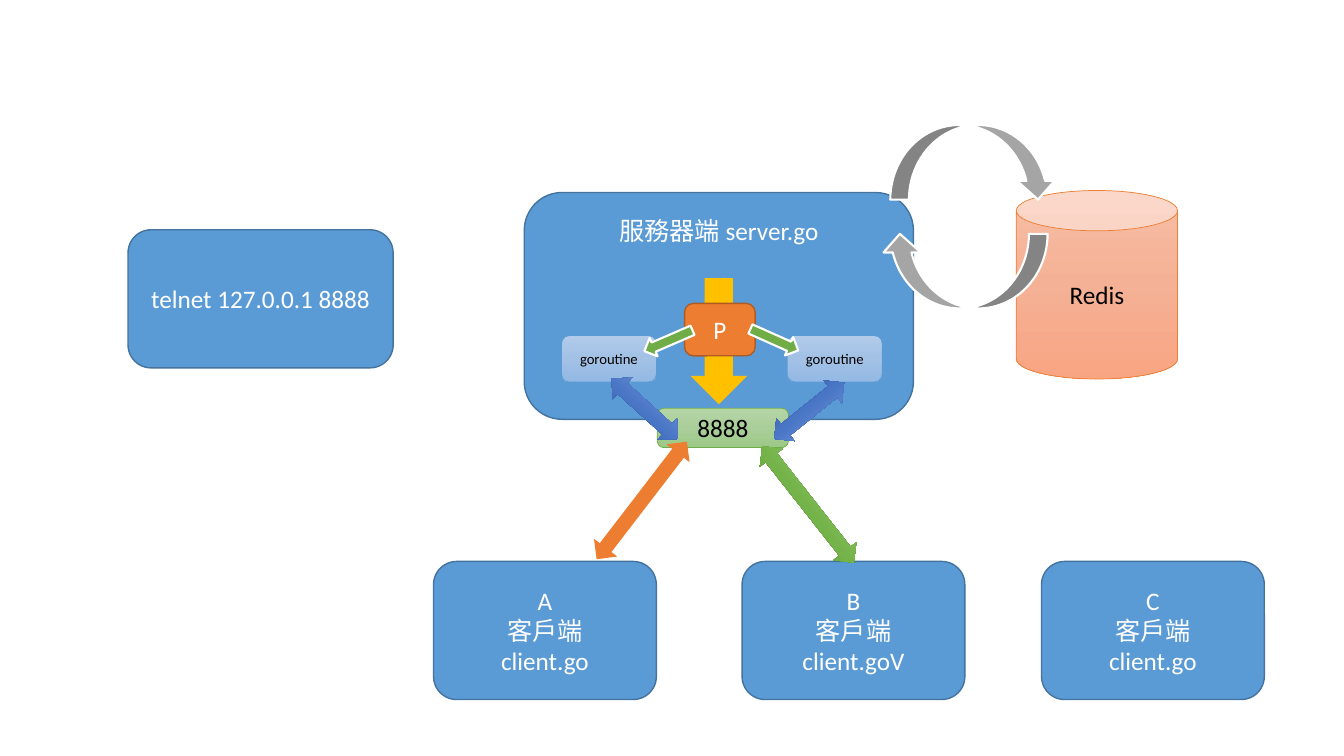
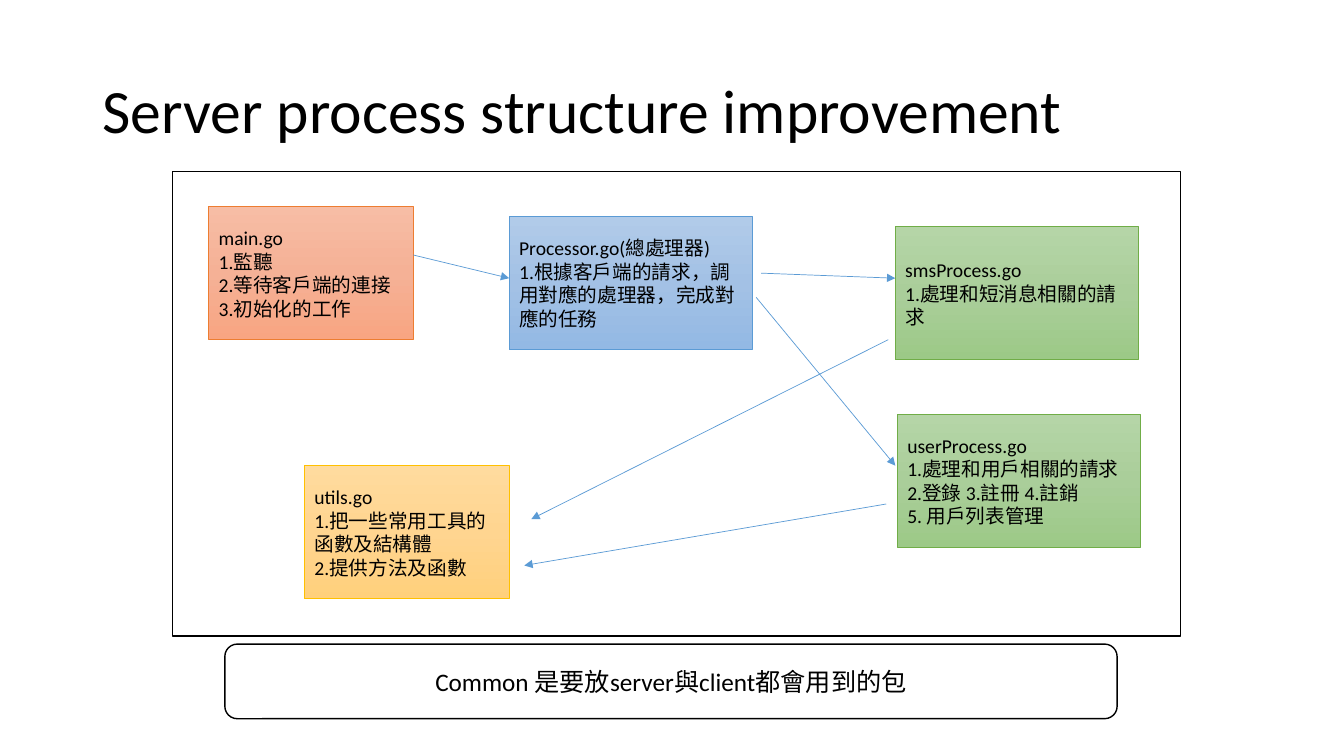
from dataclasses import dataclass
from typing import Optional, Union

import lxml.etree
import pptx
import pptx.dml.color
import pptx.enum.shapes
import pptx.enum.text
import pptx.oxml.ns
import pptx.util

Inches = pptx.util.Inches
Pt = pptx.util.Pt
Shape = pptx.enum.shapes.MSO_SHAPE
Align = pptx.enum.text.PP_ALIGN
Anchor = pptx.enum.text.MSO_ANCHOR
qn = pptx.oxml.ns.qn


@dataclass(frozen=True)
class Gradient:
    colors: tuple[str, str, str]
    middle: int = 50
    angle: int = 90  # clockwise


@dataclass(frozen=True)
class Theme:
    font: str = "Calibri"
    title_size: float = 44
    body_size: float = 18
    module_size: float = 14
    small_size: float = 10.5
    white: str = "FFFFFF"
    black: str = "000000"
    blue: str = "5B9BD5"
    blue_edge: str = "43739E"
    orange: str = "ED7D31"
    orange_edge: str = "AF5C24"
    green: str = "70AD47"
    gold: str = "FFC000"
    gray: str = "A5A5A5"
    soft_blue: Gradient = Gradient(("B1CBE9", "A3C1E5", "93B9E4"))
    soft_green: Gradient = Gradient(("B5D5A7", "AACE9A", "9CC987"))
    soft_orange: Gradient = Gradient(("F7BDA5", "F5B196", "F8A582"))
    soft_gold: Gradient = Gradient(("FFDB9E", "FFD590", "FFD07C"))
    deep_blue: Gradient = Gradient(("2A4B86", "4A76C6", "8FAADC"), 48, 270)
    deep_green: Gradient = Gradient(("4B7430", "74B349", "A9D18E"), 48, 270)


THEME = Theme()


@dataclass(frozen=True)
class Style:
    fill: Union[str, Gradient]
    line: Optional[str] = None
    line_width: float = 1
    color: str = THEME.black
    size: float = THEME.body_size
    align: Align = Align.CENTER


NODE = Style(THEME.blue, THEME.blue_edge, color=THEME.white)
WORKER = Style(THEME.soft_blue, THEME.blue, 0.5, size=THEME.small_size)
PROCESS = Style(THEME.orange, THEME.orange_edge, color=THEME.white)
PORT = Style(THEME.soft_green, THEME.green, 0.5)
STORE = Style(THEME.soft_orange, THEME.orange, 0.5)
DISPATCH = Style(THEME.green, THEME.white, 1.5)
CYCLE = Style(THEME.gray, THEME.white, 1.5)
FRAME = Style(THEME.white, THEME.black)


def module_style(fill: Gradient, line: str) -> Style:
    return Style(fill, line, 0.5, size=THEME.module_size, align=Align.LEFT)


@dataclass(frozen=True)
class Item:
    kind: Shape
    left: float
    top: float
    width: float
    height: float
    style: Style
    text: str = ""
    rotation: float = 0
    anchor: Anchor = Anchor.MIDDLE
    top_inset: float = 0.05


@dataclass(frozen=True)
class Arrow:
    start: tuple[float, float]
    end: tuple[float, float]


def rgb(value: str) -> pptx.dml.color.RGBColor:
    return pptx.dml.color.RGBColor.from_string(value)


def write_text(box, text: str, *, size: float, color: str, align: Align,
               anchor: Anchor = Anchor.MIDDLE, top_inset: float = 0.05,
               line_spacing: Optional[float] = None) -> None:
    frame = box.text_frame
    frame.word_wrap = True
    frame.vertical_anchor = anchor
    frame.margin_top = Inches(top_inset)
    for index, words in enumerate(text.split("\n")):
        para = frame.paragraphs[0] if index == 0 else frame.add_paragraph()
        para.alignment = align
        if line_spacing:
            para.line_spacing = line_spacing
        span = para.add_run()
        span.text = words
        span.font.name = THEME.font
        span.font.size = Pt(size)
        span.font.color.rgb = rgb(color)


def paint(box, fill: Union[str, Gradient]) -> None:
    if isinstance(fill, str):
        box.fill.solid()
        box.fill.fore_color.rgb = rgb(fill)
        return
    box.fill.gradient()
    box.fill.gradient_angle = 360 - fill.angle
    # Three colour stops replace the two default ones
    stops = box._element.spPr.find(qn("a:gradFill")).find(qn("a:gsLst"))
    for stop in list(stops):
        stops.remove(stop)
    for position, color in zip((0, fill.middle, 100), fill.colors):
        stop = lxml.etree.SubElement(stops, qn("a:gs"), pos=str(position * 1000))
        lxml.etree.SubElement(stop, qn("a:srgbClr"), val=color)


def draw_item(page, item: Item) -> None:
    style = item.style
    box = page.shapes.add_shape(item.kind, Inches(item.left), Inches(item.top),
                                Inches(item.width), Inches(item.height))
    box.shadow.inherit = False
    box.rotation = item.rotation
    paint(box, style.fill)
    if style.line:
        box.line.color.rgb = rgb(style.line)
        box.line.width = Pt(style.line_width)
    else:
        box.line.fill.background()
    if item.text:
        write_text(box, item.text, size=style.size, color=style.color,
                   align=style.align, anchor=item.anchor, top_inset=item.top_inset)


def draw_arrow(page, arrow: Arrow) -> None:
    link = page.shapes.add_connector(
        pptx.enum.shapes.MSO_CONNECTOR.STRAIGHT,
        *(Inches(value) for value in arrow.start + arrow.end))
    link.line.color.rgb = rgb(THEME.blue)
    link.line.width = Pt(0.5)
    lxml.etree.SubElement(link.line._get_or_add_ln(), qn("a:tailEnd"), type="triangle")
    lxml.etree.SubElement(link._element.spPr, qn("a:effectLst"))


def draw_title(page, text: str) -> None:
    box = page.shapes.add_textbox(Inches(0.92), Inches(0.4), Inches(11.5), Inches(1.45))
    write_text(box, text, size=THEME.title_size, color=THEME.black,
               align=Align.LEFT, line_spacing=0.9)


def build_architecture(page) -> None:
    rounded, two_way = Shape.ROUNDED_RECTANGLE, Shape.LEFT_RIGHT_ARROW
    workers = [Item(rounded, left, 3.33, 0.94, 0.46, WORKER, "goroutine")
               for left in (5.57, 7.81)]
    clients = [Item(rounded, left, 5.57, 2.21, 1.37, NODE, f"{name}\n客戶端\n{file}")
               for left, name, file in ((4.3, "A", "client.go"),
                                        (7.36, "B", "client.goV"),
                                        (10.33, "C", "client.go"))]
    items = [
        # Server with its workers and port
        Item(rounded, 5.2, 1.91, 3.86, 2.25, NODE, "服務器端 server.go",
             anchor=Anchor.TOP, top_inset=0.12),
        *workers,
        Item(Shape.DOWN_ARROW, 6.85, 2.76, 0.56, 1.25, Style(THEME.gold)),
        Item(rounded, 6.79, 3.01, 0.7, 0.52, PROCESS, "P"),
        Item(Shape.RIGHT_ARROW, 7.42, 3.27, 0.52, 0.2, DISPATCH, rotation=24.1),
        Item(Shape.RIGHT_ARROW, 6.37, 3.28, 0.52, 0.2, DISPATCH, rotation=156.6),
        Item(rounded, 6.52, 4.05, 1.3, 0.39, PORT, "8888"),
        Item(two_way, 5.95, 3.91, 0.89, 0.29, Style(THEME.deep_blue), rotation=42.3),
        Item(two_way, 7.58, 3.93, 0.89, 0.29, Style(THEME.deep_blue), rotation=141.2),
        # Clients and their links to the port
        *clients,
        Item(two_way, 5.63, 4.82, 1.47, 0.29, Style(THEME.orange), rotation=127.5),
        Item(two_way, 7.28, 4.86, 1.47, 0.29, Style(THEME.deep_green), rotation=51.8),
        Item(rounded, 1.27, 2.28, 2.63, 1.37, NODE, "telnet 127.0.0.1 8888"),
        # Data store and its exchange with the server
        Item(Shape.CAN, 10.08, 1.89, 1.6, 1.87, STORE, "Redis"),
        Item(Shape.CURVED_DOWN_ARROW, 8.83, 1.24, 1.65, 0.74, CYCLE),
        Item(Shape.CURVED_DOWN_ARROW, 8.74, 2.32, 1.65, 0.74, CYCLE, rotation=180),
    ]
    for item in items:
        draw_item(page, item)


def build_process_structure(page) -> None:
    draw_title(page, "Server process structure improvement")
    draw_item(page, Item(Shape.RECTANGLE, 1.71, 1.7, 10, 4.61, FRAME))

    # Source files
    orange = module_style(THEME.soft_orange, THEME.orange)
    blue = module_style(THEME.soft_blue, THEME.blue)
    green = module_style(THEME.soft_green, THEME.green)
    gold = module_style(THEME.soft_gold, THEME.gold)
    for left, top, width, style, text in (
        (2.07, 2.05, 2.03, orange, "main.go\n1.監聽\n2.等待客戶端的連接\n3.初始化的工作"),
        (5.05, 2.15, 2.41, blue,
         "Processor.go(總處理器)\n1.根據客戶端的請求，調用對應的處理器，完成對應的任務"),
        (8.88, 2.25, 2.41, green, "smsProcess.go\n1.處理和短消息相關的請求"),
        (8.9, 4.11, 2.41, green,
         "userProcess.go\n1.處理和用戶相關的請求\n2.登錄 3.註冊 4.註銷\n5. 用戶列表管理"),
        (3.02, 4.62, 2.03, gold, "utils.go\n1.把一些常用工具的函數及結構體\n2.提供方法及函數"),
    ):
        draw_item(page, Item(Shape.RECTANGLE, left, top, width, 1.32, style, text))

    # Calls between files
    for arrow in (
        Arrow((4.1, 2.53), (5.05, 2.76)),
        Arrow((7.55, 2.71), (8.88, 2.76)),
        Arrow((7.5, 2.95), (8.88, 4.62)),
        Arrow((8.81, 3.37), (5.27, 5.15)),
        Arrow((8.79, 5.0), (5.2, 5.61)),
    ):
        draw_arrow(page, arrow)

    # Shared package
    draw_item(page, Item(Shape.ROUNDED_RECTANGLE, 2.23, 6.39, 8.85, 0.74, FRAME,
                         "Common 是要放server與client都會用到的包"))


def main() -> None:
    deck = pptx.Presentation()
    deck.slide_width = Inches(13.33)
    deck.slide_height = Inches(7.5)
    for build in (build_architecture, build_process_structure):
        build(deck.slides.add_slide(deck.slide_layouts[6]))
    deck.save("out.pptx")


if __name__ == "__main__":
    main()
